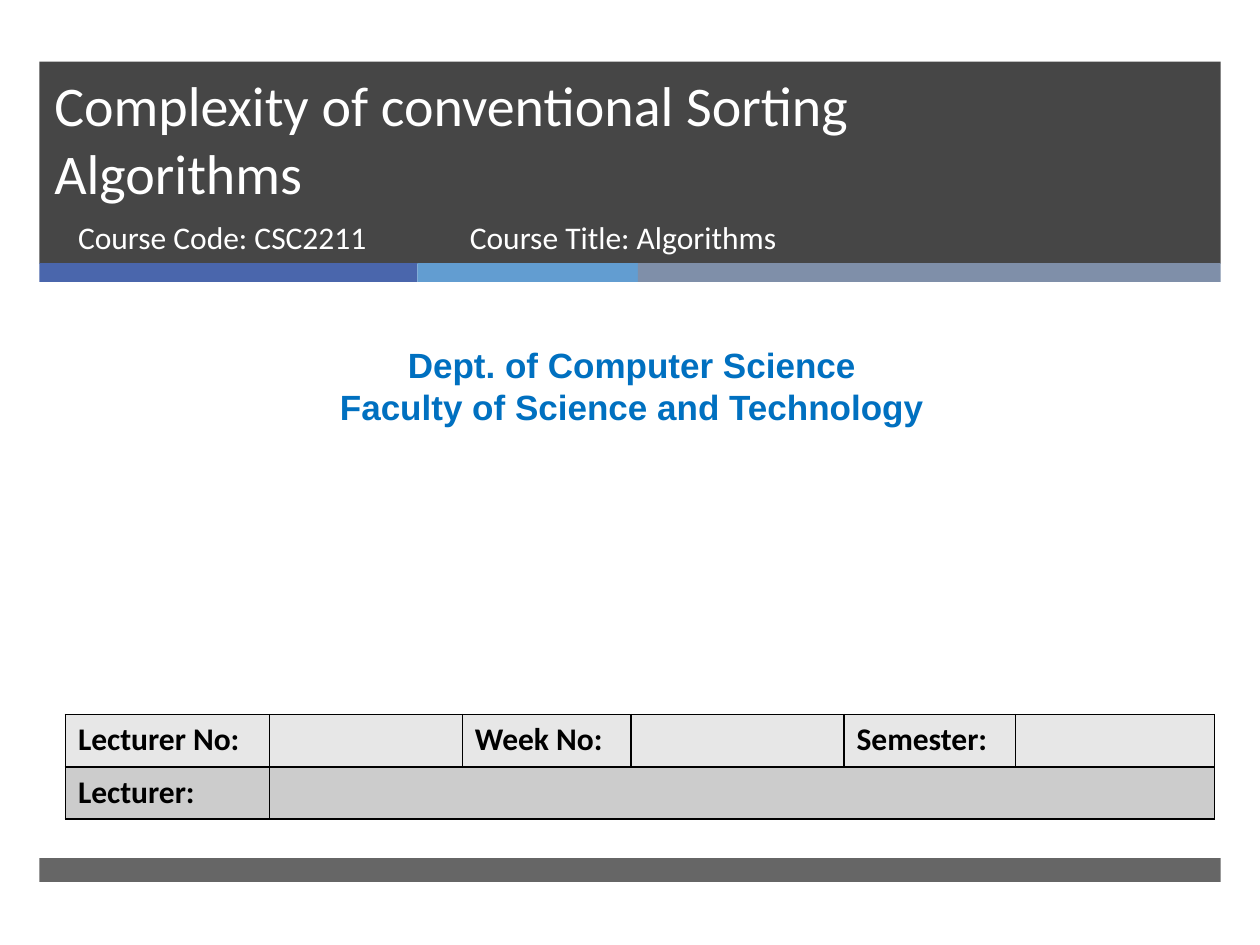
import pptx
import pptx.dml.color
import pptx.enum.shapes
import pptx.enum.text
import pptx.oxml
import pptx.oxml.ns
import pptx.util
from lxml import etree

Pt = pptx.util.Pt
ALIGN = pptx.enum.text.PP_ALIGN
ANCHOR = pptx.enum.text.MSO_ANCHOR

COLORS = {
    "dark": "262626",
    "indigo": "4A66AC",
    "sky": "629DD1",
    "slate": "7F8FA9",
    "white": "FFFFFF",
    "department": "0070C0",
    "black": "000000",
    "light_row": "E7E7E7",
    "dark_row": "CCCCCC",
}
BAND_LEFT = 22.5
BAND_WIDTH = 675


def rgb(name):
    return pptx.dml.color.RGBColor.from_string(COLORS[name])


def place(shape, left, top, width, height):
    shape.left, shape.top = Pt(left), Pt(top)
    shape.width, shape.height = Pt(width), Pt(height)


def write_text(text_frame, text, size=18, font="Calibri", color="white",
               bold=False, align=ALIGN.LEFT, anchor=ANCHOR.TOP):
    text_frame.word_wrap = True
    text_frame.vertical_anchor = anchor
    text_frame.text = text
    for paragraph in text_frame.paragraphs:
        paragraph.alignment = align
        paragraph.space_before = Pt(0)
        paragraph.font.size = Pt(size)
        paragraph.font.name = font
        paragraph.font.bold = bold
        paragraph.font.color.rgb = rgb(color)


def add_bar(slide, left, top, width, height, color, opacity=100):
    shape = slide.shapes.add_shape(
        pptx.enum.shapes.MSO_SHAPE.RECTANGLE,
        Pt(left), Pt(top), Pt(width), Pt(height))
    shape.shadow.inherit = False
    shape.line.fill.background()
    shape.fill.solid()
    shape.fill.fore_color.rgb = rgb(color)
    if opacity < 100:
        fill_color = shape.element.spPr.find(".//" + pptx.oxml.ns.qn("a:srgbClr"))
        etree.SubElement(fill_color, pptx.oxml.ns.qn("a:alpha"),
                         val=str(opacity * 1000))


def fill_placeholder(placeholder, box, text, **text_format):
    place(placeholder, *box)
    placeholder.text_frame.auto_size = pptx.enum.text.MSO_AUTO_SIZE.NONE
    write_text(placeholder.text_frame, text, **text_format)
    placeholder.element.getparent().append(placeholder.element)


def add_text(slide, box, text, **text_format):
    text_box = slide.shapes.add_textbox(*(Pt(length) for length in box))
    write_text(text_box.text_frame, text, **text_format)


def add_borders(cell):
    properties = cell._tc.get_or_add_tcPr()
    for position, side in enumerate(("lnL", "lnR", "lnT", "lnB")):
        border = pptx.oxml.parse_xml(
            f'<a:{side} {pptx.oxml.ns.nsdecls("a")} w="{Pt(1)}"><a:solidFill>'
            f'<a:srgbClr val="{COLORS["black"]}"/></a:solidFill></a:{side}>')
        properties.insert(position, border)


def add_lecture_table(slide):
    widths = [116.64, 110.16, 96.48, 121.68, 97.92, 113.76]
    rows = [
        ("light_row", ["Lecturer No:", "", "Week No:", "", "Semester:", ""]),
        ("dark_row", ["Lecturer:", "", "", "", "", ""]),
    ]
    row_height = 29.8
    table = slide.shapes.add_table(
        len(rows), len(widths), Pt(37.4), Pt(408.4),
        Pt(sum(widths)), Pt(row_height * len(rows))).table
    for column, width in zip(table.columns, widths):
        column.width = Pt(width)
    for row_index, (color, labels) in enumerate(rows):
        for column_index, label in enumerate(labels):
            cell = table.cell(row_index, column_index)
            cell.fill.solid()
            cell.fill.fore_color.rgb = rgb(color)
            add_borders(cell)
            write_text(cell.text_frame, label, color="black", bold=True)
    table.cell(1, 1).merge(table.cell(1, 5))


def main():
    presentation = pptx.Presentation()
    presentation.slide_width, presentation.slide_height = Pt(720), Pt(540)
    slide = presentation.slides.add_slide(presentation.slide_layouts[0])

    add_bar(slide, BAND_LEFT, 35.2, BAND_WIDTH, 115.5, "dark", opacity=85)
    left = BAND_LEFT
    for color, width in (("indigo", 216), ("sky", 126), ("slate", 333)):
        add_bar(slide, left, 150.3, width, 10.8, color)
        left += width
    add_bar(slide, BAND_LEFT, 490.3, BAND_WIDTH, 13.7, "dark", opacity=70)

    fill_placeholder(slide.shapes.title, (23.8, 35.2, 614.8, 85.7),
                     "Complexity of conventional Sorting Algorithms",
                     size=32, anchor=ANCHOR.BOTTOM)
    fill_placeholder(slide.placeholders[1], (37.4, 121, 219.6, 38.2),
                     "Course Code: CSC2211")
    add_text(slide, (5.8, 193, 710.6, 55.4),
             "Dept. of Computer Science\nFaculty of Science and Technology",
             size=20, font="Arial", color="department", bold=True,
             align=ALIGN.CENTER)
    add_lecture_table(slide)
    add_text(slide, (261.4, 121, 327.6, 38.2), "Course Title: Algorithms")
    presentation.save("out.pptx")


if __name__ == "__main__":
    main()
